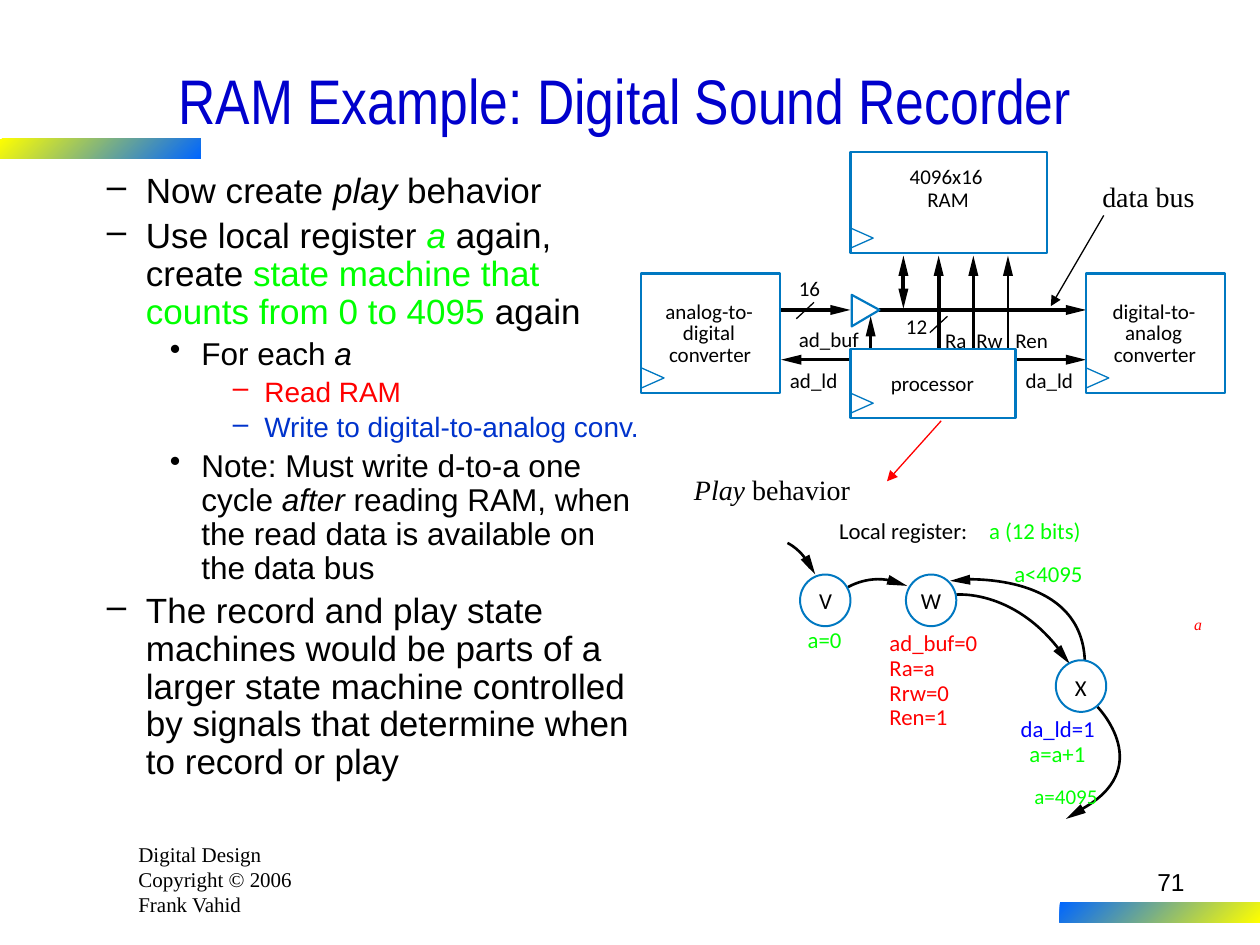
from dataclasses import dataclass
from math import hypot

from lxml import etree
from pptx import Presentation
from pptx.dml.color import RGBColor
from pptx.enum.shapes import MSO_CONNECTOR, MSO_SHAPE
from pptx.enum.text import MSO_ANCHOR, MSO_AUTO_SIZE, PP_ALIGN
from pptx.oxml.ns import qn
from pptx.util import Inches, Pt

STRAIGHT = MSO_CONNECTOR.STRAIGHT
RECTANGLE, OVAL = MSO_SHAPE.RECTANGLE, MSO_SHAPE.OVAL
LEFT, CENTER, RIGHT = PP_ALIGN.LEFT, PP_ALIGN.CENTER, PP_ALIGN.RIGHT
TOP, MIDDLE = MSO_ANCHOR.TOP, MSO_ANCHOR.MIDDLE
FIT_SHAPE = MSO_AUTO_SIZE.SHAPE_TO_FIT_TEXT
COLUMNS, ROWS = 100, 75


@dataclass(frozen=True)
class Theme:
    """Colours, fonts and type sizes of the slide."""
    black: str = "000000"
    title: str = "0000CC"
    green: str = "00FF00"
    red: str = "FF0000"
    blue: str = "0033CC"
    output: str = "0000FF"
    outline: str = "0078C1"
    bar_yellow: str = "FFFF00"
    bar_blue: str = "0066FF"
    sans: str = "Arial"
    narrow: str = "Arial Narrow"
    serif: str = "Times New Roman"
    diagram: str = "Calibri"
    title_size: int = 36
    caption_size: int = 16
    page_size: int = 14
    state_size: int = 13
    block_size: int = 12
    tiny_size: int = 9
    thin: float = 0.75
    edge: float = 1.25
    curve: float = 1.5
    wire: float = 1.63
    bus: float = 2.38


THEME = Theme()
LEVELS = {1: ("–", 0.81, 0.31, 20), 2: ("•", 1.25, 0.25, 18), 3: ("–", 1.75, 0.25, 16)}
BODY = [
    (1, [("Now create", "black", False), (" play", "black", True), (" behavior", "black", False)]),
    (1, [("Use local register ", "black", False), ("a", "green", True),
         (" again, create ", "black", False),
         ("state machine that counts from 0 to 4095", "green", False), (" again", "black", False)]),
    (2, [("For each ", "black", False), ("a", "black", True)]),
    (3, [("Read RAM", "red", False)]),
    (3, [("Write to digital-to-analog conv.", "blue", False)]),
    (2, [("Note: Must write d-to-a one cycle ", "black", False), ("after", "black", True),
         (" reading RAM, when the read data is available on the data bus", "black", False)]),
    (1, [("The record and play state machines would be parts of a larger state machine "
          "controlled by signals that determine when to record or play", "black", False)]),
]
BLOCK_LABELS = [
    (52.8, 23.7, 7.5, "analog-to-"), (54.2, 25.4, 4.3, "digital"), (53.1, 27.1, 6.9, "converter"),
    (88.3, 23.7, 6.8, "digital-to-"), (89.3, 25.4, 5, "analog"), (88.4, 27.1, 6.9, "converter"),
    (72.2, 13, 6.4, "4096x16"), (73.6, 14.8, 3.7, "RAM"), (70.7, 29.4, 7.3, "processor"),
    (62.7, 29.2, 4, "ad_ld"), (81.4, 29.2, 4, "da_ld"), (63.4, 25.9, 5.1, "ad_buf"),
    (75, 26, 2.1, "Ra"), (77.5, 26, 2.4, "Rw"), (80.6, 26, 3, "Ren"),
    (71.9, 24.9, 1.8, "12"), (63.4, 21.9, 1.8, "16"),
]
STATE_LABELS = [
    (65, 46.6, 1.2, "V", "black"), (73.1, 46.6, 1.7, "W", "black"), (85.3, 53.5, 1.2, "X", "black"),
    (66.6, 41, 11.4, "Local register:", "black"), (78.5, 41, 8.1, "a (12 bits)", "green"),
    (80.5, 44.4, 6.1, "a<4095", "green"), (64.1, 49.7, 3.1, "a=0", "green"),
    (81, 56.7, 5.9, "da_ld=1", "output"), (81.7, 58.7, 5.1, "a=a+1", "green"),
]
OUTPUTS = [("ad_buf=0", 7.6), ("Ra=a", 4.4), ("Rrw=0", 5.3), ("Ren=1", 5.4)]
TRANSITIONS = [
    ([(62.5, 43.1), (62.5, 43.1), (63.8, 43.7), (64.3, 45.1)], (63.85, 44.15), (64.7, 45.6)),
    ([(67.3, 46.6), (67.3, 46.6), (69.1, 45.5), (71.1, 46.2)], (70.4, 46), (72, 46.5)),
    ([(75.9, 47.2), (75.9, 47.2), (80.8, 46.7), (84.6, 52.3)], (83.8, 51.3), (84.9, 52.7)),
    ([(86.1, 52.4), (85.8, 45.2), (76.1, 46), (76.1, 46)], (77.15, 46), (75.4, 46.1)),
    ([(87.1, 56.1), (87.1, 56.1), (91.9, 61), (85.7, 64.3)], (86.1, 64.1), (84.6, 65)),
]


def grid(cells):
    """Turn grid cells into a length."""
    return Inches(10 * cells / COLUMNS)


def colour(name):
    """Look up a theme colour."""
    return RGBColor.from_string(getattr(THEME, name))


def style_run(run, font, size, shade="black", italic=False):
    """Give a run its type."""
    run.font.name, run.font.size, run.font.italic = font, Pt(size), italic
    run.font.color.rgb = colour(shade)


def add_text(slide, box, lines, font, size, shade="black", align=LEFT, anchor=TOP,
             wrap=True, inset=True, italic=False):
    """Add a text box with one style."""
    shape = slide.shapes.add_textbox(*map(grid, box))
    text_frame = shape.text_frame
    text_frame.text = lines
    text_frame.word_wrap, text_frame.vertical_anchor = wrap, anchor
    if not wrap:
        text_frame.auto_size = FIT_SHAPE
    if not inset:
        text_frame.margin_left = text_frame.margin_right = 0
        text_frame.margin_top = text_frame.margin_bottom = 0
    for paragraph in text_frame.paragraphs:
        paragraph.alignment = align
        for run in paragraph.runs:
            style_run(run, font, size, shade, italic)
    return shape


def add_label(slide, left, top, width, text, size, shade="black"):
    """Add a one-line diagram label."""
    box = (left, top, width, size / 6)
    add_text(slide, box, text, THEME.diagram, size, shade, wrap=False, inset=False)


def add_body(slide):
    """Add the bulleted outline."""
    text_frame = slide.shapes.add_textbox(*map(grid, (2.5, 13.3, 49.5, 53.3))).text_frame
    text_frame.word_wrap = True
    for index, (level, runs) in enumerate(BODY):
        bullet, margin, hanging, size = LEVELS[level]
        paragraph = text_frame.add_paragraph() if index else text_frame.paragraphs[0]
        paragraph.level = level
        properties = paragraph._p.get_or_add_pPr()
        properties.set("marL", str(Inches(margin)))
        properties.set("indent", str(-Inches(hanging)))
        etree.SubElement(properties, qn("a:buChar")).set("char", bullet)
        paragraph.line_spacing = 0.9
        paragraph.space_before = Pt(0.2 * size if index else 0)
        for text, shade, italic in runs:
            run = paragraph.add_run()
            run.text = text
            style_run(run, THEME.sans, size, shade, italic)


def add_bar(slide, left, top, first, last):
    """Add a diagonal gradient bar."""
    shape = slide.shapes.add_shape(RECTANGLE, *map(grid, (left, top, 15.9, 1.6)))
    shape.shadow.inherit = False
    shape.line.fill.background()
    shape.fill.gradient()
    shape.fill.gradient_angle = 315
    for stop, shade in zip(shape.fill.gradient_stops, (first, last)):
        stop.color.rgb = colour(shade)


def add_outline(slide, kind, box, width):
    """Add an unfilled preset shape."""
    shape = slide.shapes.add_shape(kind, *map(grid, box))
    shape.shadow.inherit = False
    shape.fill.background()
    shape.line.color.rgb, shape.line.width = colour("outline"), Pt(width)


def add_path(slide, points, fill=None, line=None, width=0, close=True):
    """Add a freeform through the given points."""
    first, *others = [tuple(map(grid, point)) for point in points]
    builder = slide.shapes.build_freeform(*first)
    builder.add_line_segments(others, close=close)
    shape = builder.convert_to_shape()
    shape.shadow.inherit = False
    if fill:
        shape.fill.solid()
        shape.fill.fore_color.rgb = colour(fill)
    else:
        shape.fill.background()
    if line:
        shape.line.color.rgb, shape.line.width = colour(line), Pt(width)
    else:
        shape.line.fill.background()
    return shape


def add_curve(slide, points):
    """Add a cubic curve from its four control points."""
    shape = add_path(slide, points, line="black", width=THEME.curve, close=False)
    outline = next(shape._element.iter(qn("a:path")))
    bezier = etree.Element(qn("a:cubicBezTo"))
    for segment in outline.findall(qn("a:lnTo")):
        bezier.append(segment[0])
        outline.remove(segment)
    outline.append(bezier)


def add_line(slide, start, end, width, shade="black", arrow=False):
    """Add a straight connector."""
    connector = slide.shapes.add_connector(STRAIGHT, *map(grid, (*start, *end)))
    connector.line.color.rgb, connector.line.width = colour(shade), Pt(width)
    properties = connector._element.spPr
    if arrow:
        etree.SubElement(properties.find(qn("a:ln")), qn("a:tailEnd")).set("type", "triangle")
    etree.SubElement(properties, qn("a:effectLst"))


def add_head(slide, tail, tip):
    """Add a slim solid arrowhead pointing from tail to tip."""
    (x, y), length = tip, hypot(tip[0] - tail[0], tip[1] - tail[1])
    across, down = (x - tail[0]) / length, (y - tail[1]) / length
    base_x, base_y = x - 1.6 * across, y - 1.6 * down
    side_x, side_y = 0.4 * down, 0.4 * across
    add_path(slide, [tip, (base_x + side_x, base_y - side_y),
                     (base_x - side_x, base_y + side_y)], fill="black")


def add_signal(slide, start, tip, width):
    """Add a wire that ends in a slim arrowhead."""
    length = hypot(tip[0] - start[0], tip[1] - start[1])
    end = [b - 1.3 * (b - a) / length for a, b in zip(start, tip)]
    add_line(slide, start, end, width)
    add_head(slide, start, tip)


def add_block_diagram(slide):
    """Draw the recorder's blocks, wires and labels."""
    for start, tip, width in [
        ((69.8, 24.6), (86.2, 24.6), THEME.bus), ((62, 24.6), (67.5, 24.6), THEME.bus),
        ((67.4, 28.55), (62, 28.55), THEME.wire), ((80.6, 28.55), (86.2, 28.55), THEME.wire),
        ((80, 27.6), (80, 20.3), THEME.wire), ((77.25, 27.6), (77.25, 20.3), THEME.wire),
        ((74.5, 27.6), (74.5, 20.3), THEME.bus), ((71.7, 23.6), (71.7, 20.3), THEME.bus),
        ((69.1, 27.7), (69.1, 25.1), THEME.wire),
    ]:
        add_signal(slide, start, tip, width)
    add_head(slide, (71.7, 20.3), (71.7, 24.5))
    add_path(slide, [(67.6, 25.9), (69.8, 24.6), (67.6, 23.4)], None, "outline", THEME.edge)
    for left, top in [(73.8, 25.1), (63.2, 24)]:
        add_line(slide, (left + 1.4, top), (left, top + 1.3), THEME.thin)
    for box in [(50.9, 21.7, 11, 9.5), (86.2, 21.7, 11, 9.5),
                (67.5, 27.7, 13.1, 5.5), (67.5, 12.1, 15.6, 8)]:
        left, bottom = box[0], box[1] + box[3]
        add_outline(slide, RECTANGLE, box, THEME.edge)
        add_path(slide, [(left, bottom - 0.4), (left + 1.8, bottom - 1.2), (left, bottom - 2)],
                 line="outline", width=THEME.thin, close=False)
    for label in BLOCK_LABELS:
        add_label(slide, *label, THEME.block_size)
    add_text(slide, (86.5, 13.8, 9.4, 3.7), "data bus", THEME.serif, THEME.caption_size, wrap=False)
    add_line(slide, (87.6, 17.1), (83.4, 24.3), THEME.thin, arrow=True)


def add_state_machine(slide):
    """Draw the play behavior's states, transitions and labels."""
    add_line(slide, (74.7, 33.4), (70.4, 38.2), THEME.thin, "red", arrow=True)
    caption = add_text(slide, (54.1, 37, 14.4, 3.7), "Play ", THEME.serif, THEME.caption_size,
                       wrap=False, italic=True)
    run = caption.text_frame.paragraphs[0].add_run()
    run.text = "behavior"
    style_run(run, THEME.serif, THEME.caption_size)
    for curve, tail, tip in TRANSITIONS:
        add_head(slide, tail, tip)
        add_curve(slide, curve)
    for left, top in [(63.5, 45.6), (71.9, 45.6), (83.8, 52.4)]:
        add_outline(slide, OVAL, (left, top, 4, 4.1), 1.13)
    for left, top, width, text, shade in STATE_LABELS:
        add_label(slide, left, top, width, text, THEME.state_size, shade)
    for index, (text, width) in enumerate(OUTPUTS):
        add_label(slide, 70.6, 49.9 + 1.97 * index, width, text, THEME.state_size, "red")
    add_label(slide, 82.1, 62.2, 5.2, "a=4095", THEME.block_size, "green")
    add_text(slide, (93.8, 48.3, 2.6, 2.5), "a", THEME.serif, THEME.tiny_size, "red",
             wrap=False, italic=True)


def main():
    """Build and save the slide."""
    presentation = Presentation()
    presentation.slide_width, presentation.slide_height = grid(COLUMNS), grid(ROWS)
    slide = presentation.slides.add_slide(presentation.slide_layouts[6])
    add_text(slide, (10, 66.3, 16.7, 7), "Digital Design\nCopyright © 2006\nFrank Vahid",
             THEME.serif, THEME.block_size)
    add_bar(slide, 0, 11, "bar_yellow", "bar_blue")
    add_bar(slide, 84.1, 71.6, "bar_blue", "bar_yellow")
    add_text(slide, (74.2, 68.3, 20.8, 5), "71", THEME.sans, THEME.page_size, align=RIGHT)
    add_text(slide, (2.5, 3.3, 94.2, 9.2), "RAM Example: Digital Sound Recorder",
             THEME.narrow, THEME.title_size, "title", CENTER, MIDDLE)
    add_body(slide)
    add_state_machine(slide)
    add_block_diagram(slide)
    presentation.save("out.pptx")


if __name__ == "__main__":
    main()
